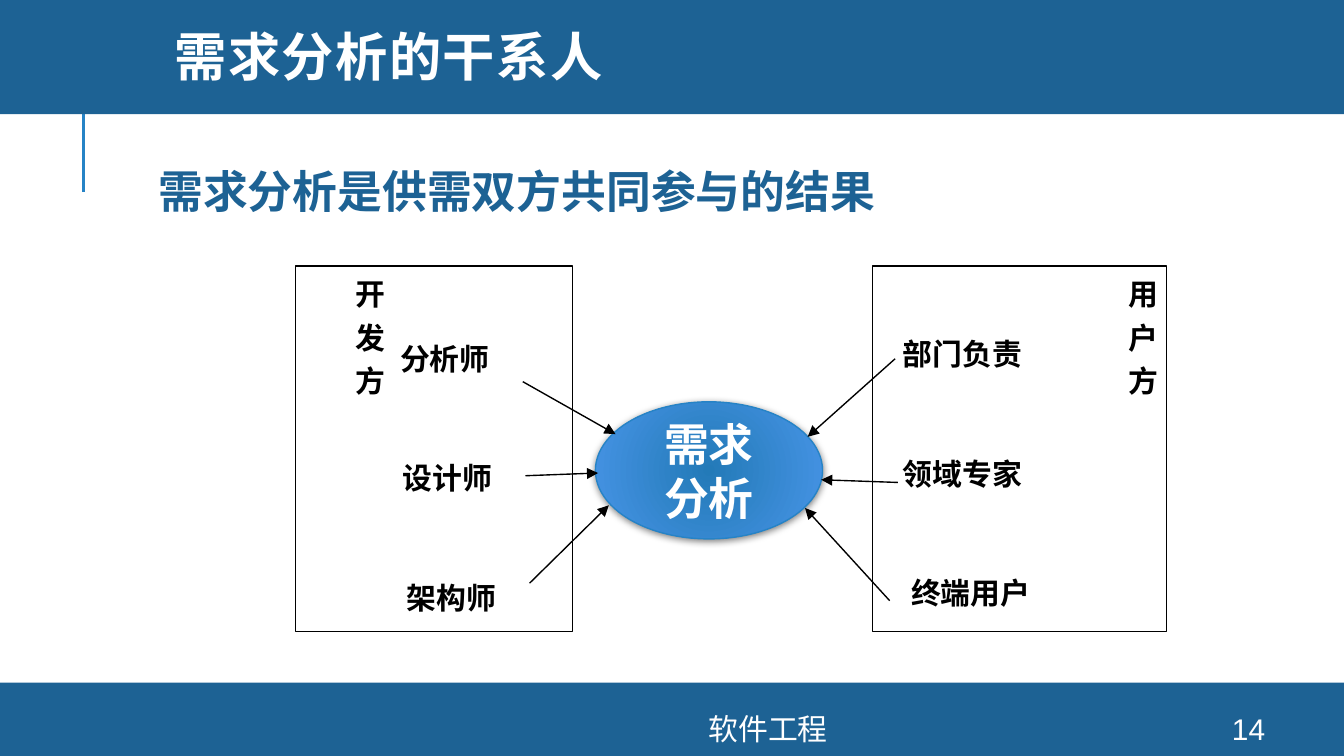
import pptx
import pptx.dml.color
import pptx.enum.shapes
import pptx.enum.text
import pptx.oxml
import pptx.oxml.ns
import pptx.util

Inches = pptx.util.Inches
Pt = pptx.util.Pt
SHAPE = pptx.enum.shapes.MSO_SHAPE
ALIGN = pptx.enum.text.PP_ALIGN
ANCHOR = pptx.enum.text.MSO_ANCHOR
qn = pptx.oxml.ns.qn

BLUE, BRIGHT, BLACK, WHITE = "1D6294", "2683C6", "000000", "FFFFFF"
CJK = "Noto Sans CJK SC"


def color(value):
    return pptx.dml.color.RGBColor.from_string(value)


def add_xml(parent, tag, **attributes):
    element = pptx.oxml.parse_xml(f"<a:{tag} {pptx.oxml.ns.nsdecls('a')}/>")
    for name, value in attributes.items():
        element.set(name, str(value))
    parent.append(element)
    return element


def write(shape, text, size, ink, font="Arial", bold=True, spacing=None, align=ALIGN.LEFT,
          anchor=ANCHOR.TOP, line_spacing=1.0, insets=(0.1, 0.05, 0.1, 0.05)):
    frame = shape.text_frame
    sides = zip(("margin_left", "margin_top", "margin_right", "margin_bottom"), map(Inches, insets))
    for name, value in {"word_wrap": True, "vertical_anchor": anchor, **dict(sides)}.items():
        setattr(frame, name, value)
    paragraph = frame.paragraphs[0]
    paragraph.alignment = align
    paragraph.line_spacing = line_spacing
    run = paragraph.add_run()
    run.text = text
    for name, value in {"size": Pt(size), "bold": bold, "name": font}.items():
        setattr(run.font, name, value)
    run.font.color.rgb = color(ink)
    properties = run.font._element
    if spacing:
        properties.set("spc", str(int(spacing * 100)))
    add_xml(properties, "ea", typeface=CJK)


def add_text(slide, box, text, size, ink, **style):
    write(slide.shapes.add_textbox(*map(Inches, box)), text, size, ink, **style)


def add_shape(slide, kind, box, fill=None, line=None):
    shape = slide.shapes.add_shape(kind, *map(Inches, box))
    shape.shadow.inherit = False
    if fill:
        shape.fill.solid()
        shape.fill.fore_color.rgb = color(fill)
    else:
        shape.fill.background()
    if line:
        shape.line.color.rgb = color(line)
        shape.line.width = Pt(0.75)
    else:
        shape.line.fill.background()
    return shape


def add_line(slide, start, end, ink=BLACK, width=0.75, arrow=True):
    connector = slide.shapes.add_connector(
        pptx.enum.shapes.MSO_CONNECTOR.STRAIGHT, *map(Inches, (*start, *end)))
    connector.line.color.rgb = color(ink)
    connector.line.width = Pt(width)
    properties = connector._element.spPr
    if arrow:
        add_xml(properties.find(qn("a:ln")), "tailEnd", type="triangle")
    add_xml(properties, "effectLst")


def add_header(slide, box, title_text):
    left, top, width, height = box
    bottom = top + height
    add_line(slide, (left + 0.62, bottom + 0.58), (left + 0.62, bottom - 0.17), BRIGHT, 1.5, False)
    add_shape(slide, SHAPE.RECTANGLE, box, BLUE)
    title = slide.shapes.title
    place = (left + 1.2, top + 0.03, 8.49, 0.91)
    for name, value in zip(("left", "top", "width", "height"), place):
        setattr(title, name, Inches(value))
    write(title, title_text, 28, WHITE, spacing=0.8, anchor=ANCHOR.MIDDLE, line_spacing=0.8)
    slide.shapes._spTree.append(title._element)


def add_footer(slide, box, course, number):
    left, top, width, height = box
    add_shape(slide, SHAPE.RECTANGLE, box, BLUE)
    for offset, field_width, text in ((2.61, 6.21, course), (8.89, 0.8, number)):
        add_text(slide, (left + offset, top + 0.23, field_width, 0.23), text, 16, WHITE,
                 bold=False, align=ALIGN.CENTER, anchor=ANCHOR.MIDDLE)


def add_party(slide, box, name, name_inset, roles, role_width, line_spacing):
    """Frame with a vertical name, evenly spaced roles and an arrow for each role."""
    left, top, width, height = box
    frame = add_shape(slide, SHAPE.RECTANGLE, box, line=BLACK)
    write(frame, name, 16, BLACK, font=CJK, spacing=7.2, insets=(0, 0.1, name_inset, 0.05))
    frame.text_frame._txBody.bodyPr.set("vert", "eaVert")
    for index, (role, indent, start, end) in enumerate(roles):
        add_text(slide, (left + indent, top + 0.57 + 0.89 * index, role_width, 0.32), role, 16,
                 BLACK, font="Times New Roman", align=ALIGN.JUSTIFY,
                 line_spacing=line_spacing, insets=(0.1, 0, 0.1, 0.05))
        add_line(slide, *((left + x, top + y) for x, y in (start, end)))


def add_hub(slide, box, text):
    hub = add_shape(slide, SHAPE.OVAL, box, line=BRIGHT)
    hub.fill.gradient()
    for stop, ink, position in zip(hub.fill.gradient_stops, ("237AB8", "4895E7"), (0, 1)):
        stop.color.rgb = color(ink)
        stop.position = position
    properties = hub._element.spPr
    gradient = properties.find(qn("a:gradFill"))
    gradient.remove(gradient.find(qn("a:lin")))
    circle = add_xml(gradient, "path", path="circle")
    add_xml(circle, "fillToRect", **dict.fromkeys("ltrb", 50000))
    shadow = add_xml(properties.find(qn("a:effectLst")), "outerShdw",
                     blurRad=Pt(4), dist=Pt(1), dir=5400000)
    add_xml(add_xml(shadow, "srgbClr", val=BLACK), "alpha", val=50000)
    write(hub, text, 24, WHITE, align=ALIGN.CENTER, anchor=ANCHOR.MIDDLE)


def main():
    presentation = pptx.Presentation()
    presentation.slide_width = Inches(10)
    presentation.slide_height = presentation.slide_width * 9 // 16
    slide = presentation.slides.add_slide(presentation.slide_layouts[5])
    add_header(slide, (0, -0.03, 10, 0.88), "需求分析的干系人")
    add_text(slide, (1.08, 1.09, 6.99, 0.54), "需求分析是供需双方共同参与的结果", 24, BLUE,
             line_spacing=1.2)
    add_hub(slide, (4.43, 2.99, 1.69, 1.02), "需求分析")
    developers = [
        ("分析师", 0.68, (1.69, 0.86), (2.38, 1.25)),
        ("设计师", 0.7, (1.71, 1.56), (2.25, 1.54)),
        ("架构师", 0.73, (1.74, 2.36), (2.33, 1.78)),
    ]
    users = [
        ("部门负责", 0.13, (0.17, 0.69), (-0.48, 1.27)),
        ("领域专家", 0.13, (0.19, 1.61), (-0.38, 1.59)),
        ("终端用户", 0.19, (0.13, 2.49), (-0.5, 1.8)),
    ]
    add_party(slide, (2.2, 1.98, 2.06, 2.72), "开发方", 1.38, developers, 1.03, 0.96)
    add_party(slide, (6.49, 1.98, 2.19, 2.72), "用户方", 0.05, users, 1.28, 0.8)
    add_footer(slide, (0, 5.08, 10, 0.55), "软件工程", "14")
    presentation.save("out.pptx")


if __name__ == "__main__":
    main()
